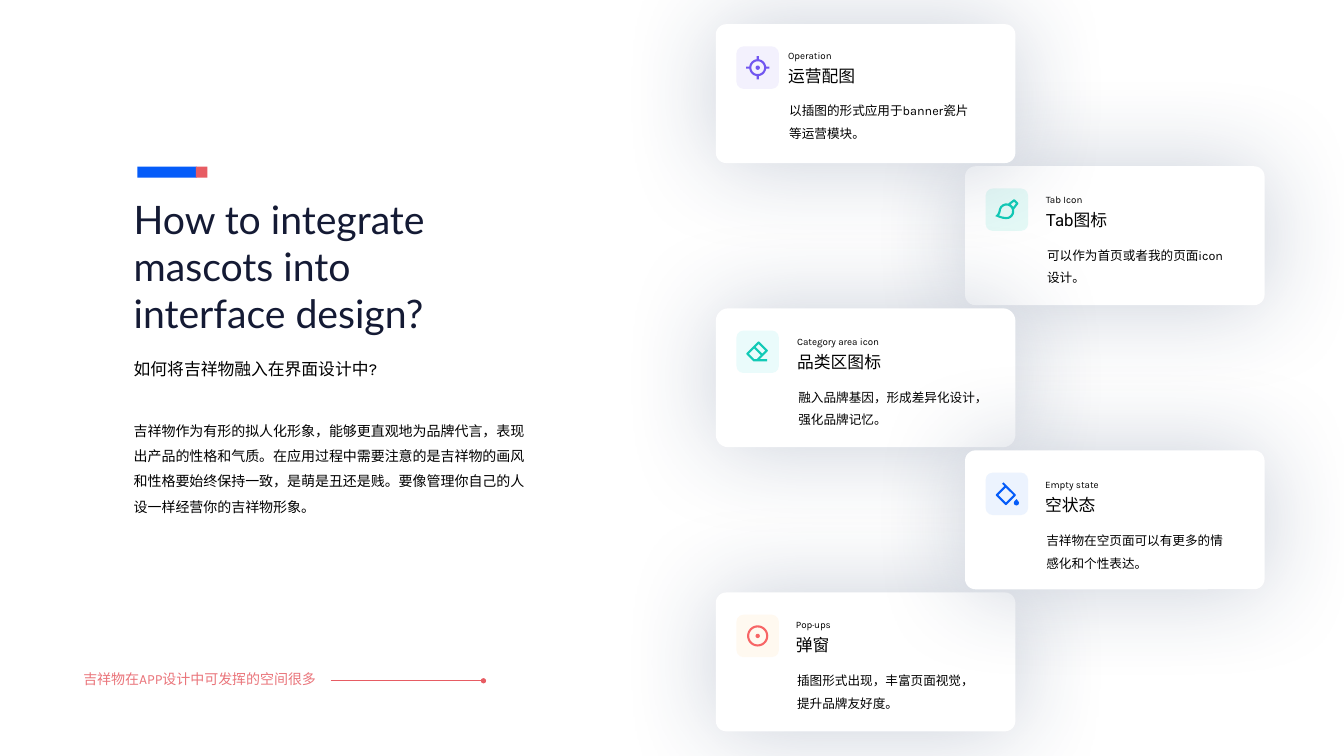
from math import cos, pi, sin

from lxml import etree
from pptx import Presentation
from pptx.dml.color import RGBColor as RGB
from pptx.enum.shapes import MSO_CONNECTOR as LINK, MSO_SHAPE as KIND
from pptx.oxml.ns import qn
from pptx.util import Cm, Pt


class Theme:
    navy, black, white = "141A34", "000000", "FFFFFF"
    blue, red, pink = "055CF9", "E75C63", "EA747A"
    teal, violet, coral = "12CAB6", "7156F0", "F76566"
    mint, lilac, aqua, cream, ice = "E5FAF7", "F3F1FD", "EAFBFB", "FFF9F0", "ECF3FE"
    shade = "203864"
    big, head, text, note, tag = 28, 12, 10, 9, 7
    lato, karla, roboto = "Lato", "Karla", "Roboto"


def paint(shape, color):
    shape.shadow.inherit = False
    shape.fill.solid()
    shape.fill.fore_color.rgb = RGB.from_string(color)
    shape.line.fill.background()
    return shape


def write(x, y, wide, high, lines, size, face, color=Theme.black, space=None):
    """Add a wrapped text box, one paragraph for each line; lengths in cm."""
    frame = shapes.add_textbox(Cm(x), Cm(y), Cm(wide), Cm(high)).text_frame
    frame.word_wrap = True
    for i, line in enumerate(lines):
        para = frame.add_paragraph() if i else frame.paragraphs[0]
        para.line_spacing = space
        run = para.add_run()
        run.text = line
        run.font.size = Pt(size)
        run.font.name = face
        run.font.color.rgb = RGB.from_string(color)


deck = Presentation()
deck.slide_width, deck.slide_height = Cm(33.87), Cm(19.05)
shapes = deck.slides.add_slide(deck.slide_layouts[6]).shapes

# Icon outlines on a 24-unit grid
ring = {
    r: [(12 + r * cos(k * pi / 24), 12 + r * sin(k * pi / 24)) for k in range(48)]
    for r in (2, 6, 8, 10)
}
ticks = [
    [(x, y), (x + w, y), (x + w, y + h), (x, y + h)]
    for x, y, w, h in ((11, 1, 2, 3), (11, 20, 2, 3), (1, 11, 3, 2), (20, 11, 3, 2))
]
target = [ring[8], ring[6], ring[2], *ticks]
disc = [ring[10], ring[8], ring[2]]
brush = [
    [(15.46, 9.68), (14.3, 8.8), (12.92, 8.19), (10.8, 8.1), (8.8, 8.9),
     (7.3, 10.2), (6.43, 12.02), (6.33, 12.81), (5.8, 15.3), (4.53, 17.49),
     (8, 18.55), (11.5, 19), (13.6, 18.6), (15.6, 17.1), (16.81, 14.92),
     (16.9, 12.6), (16.4, 11)],
    [(13.29, 6.22), (18.23, 2.38), (18.9, 2.17), (19.55, 2.46), (22.54, 5.45),
     (22.83, 6.1), (22.63, 6.77), (18.79, 11.71), (19, 13.8), (18.5, 16.2),
     (17, 18.7), (14.6, 20.4), (11.5, 21), (8.2, 20.6), (4.5, 19.5), (1, 18),
     (3, 16.1), (3.9, 14.2), (4.5, 11.5), (5.8, 8.9), (7.9, 7), (10.5, 6.05)],
    [(16.7, 8.1), (18.03, 9.42), (20.51, 6.24), (18.76, 4.5), (15.58, 6.97)],
]
rubber = [
    [(8.59, 8.86), (3.64, 13.81), (8.83, 19), (11.17, 19), (14.95, 15.22)],
    [(10, 7.44), (16.36, 13.81), (19.19, 10.98), (12.83, 4.62)],
    [(14, 19), (21, 19), (21, 21), (8, 21), (1.52, 14.52), (1.22, 13.81),
     (1.52, 13.1), (12.12, 2.49), (12.83, 2.2), (13.54, 2.49), (21.31, 10.27),
     (21.61, 10.98), (21.31, 11.69)],
]
bucket = [
    [(19.23, 18.73), (21, 16.96), (22.76, 18.73), (23.5, 20.5), (22.76, 22.27),
     (21, 23), (19.23, 22.27), (18.5, 20.5)],
    [(8.88, 1.08), (20.19, 12.39), (20.48, 13.1), (20.19, 13.81), (11.71, 22.29),
     (11, 22.59), (10.29, 22.29), (1.81, 13.81), (1.52, 13.1), (1.81, 12.39),
     (9.59, 4.61), (7.46, 2.49)],
    [(11, 6.03), (3.93, 13.1), (11, 20.17), (18.07, 13.1)],
]

# Accent bar and footer line
for x, wide, color in ((3.46, 1.5, Theme.blue), (4.94, 0.29, Theme.red)):
    paint(shapes.add_shape(KIND.RECTANGLE, Cm(x), Cm(4.2), Cm(wide), Cm(0.28)), color)
rule = shapes.add_connector(LINK.STRAIGHT, Cm(8.33), Cm(17.15), Cm(12.14), Cm(17.15))
rule.line.color.rgb = RGB.from_string(Theme.red)
rule.line.width = Pt(0.5)
etree.SubElement(rule._element.spPr, qn("a:effectLst"))
paint(shapes.add_shape(KIND.OVAL, Cm(12.12), Cm(17.09), Cm(0.13), Cm(0.13)), Theme.red)

# Cards from back to front: row, corner, icon, icon color, tile color,
# text offset, tag, head, note
cards = [
    (1, 0.075, brush, Theme.teal, Theme.mint, 1.79, 0.56,
     "Tab Icon", "Tab图标", "可以作为首页或者我的页面icon设计。"),
    (0, 0.075, target, Theme.violet, Theme.lilac, 1.57, 0.51,
     "Operation", "运营配图", "以插图的形式应用于banner瓷片等运营模块。"),
    (2, 0.09, rubber, Theme.teal, Theme.aqua, 1.8, 0.56,
     "Category area icon", "品类区图标", "融入品牌基因，形成差异化设计，强化品牌记忆。"),
    (4, 0.075, disc, Theme.coral, Theme.cream, 1.77, 0.54,
     "Pop·ups", "弹窗", "插图形式出现，丰富页面视觉，提升品牌友好度。"),
    (3, 0.075, bucket, Theme.blue, Theme.ice, 1.77, 0.59,
     "Empty state", "空状态", "吉祥物在空页面可以有更多的情感化和个性表达。"),
]
side = 1.07
grid = 0.64
inset = (side - grid) / 2
for row, bend, icon, color, tint, dx, dy, tag, head, note in cards:
    left, top = 18.04 + row % 2 * 6.28, 0.61 + row * 3.58
    card = paint(shapes.add_shape(
        KIND.ROUNDED_RECTANGLE, Cm(left), Cm(top), Cm(7.55), Cm(3.5)), Theme.white)
    card.adjustments[0] = bend
    glow = etree.SubElement(
        card._element.spPr.find(qn("a:effectLst")), qn("a:outerShdw"),
        blurRad=str(Pt(70)), dist="0", dir="0", algn="ctr", rotWithShape="0")
    hue = etree.SubElement(glow, qn("a:srgbClr"), val=Theme.shade)
    etree.SubElement(hue, qn("a:alpha"), val="24000")

    x, y = left + 0.52, top + 0.56
    paint(shapes.add_shape(
        KIND.ROUNDED_RECTANGLE, Cm(x), Cm(y), Cm(side), Cm(side)), tint)
    loops = [[(px * 100, py * 100) for px, py in loop] for loop in icon]
    pen = shapes.build_freeform(*loops[0][0], scale=Cm(grid) / 2400)
    for i, loop in enumerate(loops):
        if i:
            pen.move_to(*loop[0])
        pen.add_line_segments(loop[1:], close=True)
    paint(pen.convert_to_shape(Cm(x + inset), Cm(y + inset)), color)

for row, *_, dx, dy, tag, head, note in cards:
    x, y = 18.04 + row % 2 * 6.28 + dx, 0.61 + row * 3.58 + dy
    write(x, y + 0.4, 3.12, 0.77, [head], Theme.head, Theme.roboto)
    write(x, y, 3.6, 0.55, [tag], Theme.tag, Theme.karla)
    write(x + 0.03, y + 1.17, 5.21, 1.38, [note], Theme.note, Theme.karla, space=1.5)

# Left column
write(3.12, 4.8, 15.34, 3.84,
      ["How to integrate", "mascots into", "interface design?"],
      Theme.big, Theme.lato, Theme.navy)
write(3.12, 8.92, 7.6, 0.77, ["如何将吉祥物融入在界面设计中?"], Theme.head, Theme.karla)
write(3.12, 10.31, 10.46, 2.77,
      ["吉祥物作为有形的拟人化形象，能够更直观地为品牌代言，表现出产品的性格和气质。"
       "在应用过程中需要注意的是吉祥物的画风和性格要始终保持一致，是萌是丑还是贱。"
       "要像管理你自己的人设一样经营你的吉祥物形象。"],
      Theme.text, Theme.karla, space=1.5)
write(1.85, 16.76, 6.71, 0.68, ["吉祥物在APP设计中可发挥的空间很多"],
      Theme.text, Theme.karla, Theme.pink)

deck.save("out.pptx")
